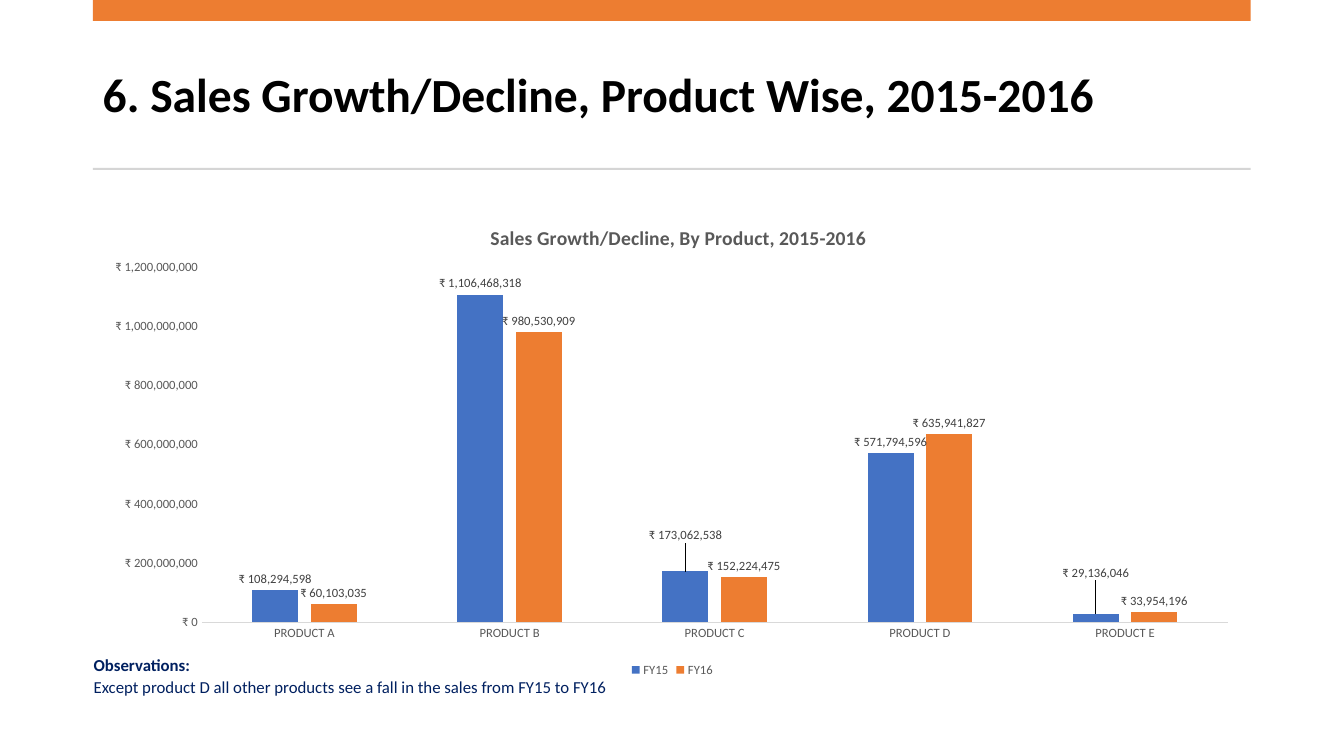
from lxml.etree import SubElement
from pptx import Presentation
from pptx.chart.data import CategoryChartData
from pptx.dml.color import RGBColor
from pptx.enum.chart import XL_CHART_TYPE as ChartType
from pptx.enum.chart import XL_LABEL_POSITION as LabelPos
from pptx.enum.chart import XL_LEGEND_POSITION as LegendPos
from pptx.enum.chart import XL_TICK_MARK as TickMark
from pptx.enum.shapes import MSO_SHAPE as Shape
from pptx.enum.text import MSO_ANCHOR as Anchor
from pptx.enum.text import PP_ALIGN as Align
from pptx.oxml.ns import qn
from pptx.util import Cm, Pt

FONT = "Calibri"
BLUE, ORANGE, NAVY, GREY = "4472C4", "ED7D31", "002060", "595959"
RUPEES = '"₹"\\ #,##0'
LEFT, WIDTH = 2.34, 29.18

PRODUCTS = [f"PRODUCT {letter}" for letter in "ABCDE"]
SALES = {
    "FY15": (BLUE, [108294598, 1106468318, 173062538, 571794596, 29136046]),
    "FY16": (ORANGE, [60103035, 980530909, 152224475, 635941827, 33954196]),
}
# Product index -> upward shift of its FY15 label, as a share of chart height
RAISED_LABELS = {2: -0.05, 4: -0.06}


def rgb(hex_colour):
    return RGBColor.from_string(hex_colour)


def set_font(font, size, colour, bold=False):
    font.name, font.size, font.bold = FONT, Pt(size), bold
    font.color.rgb = rgb(colour)


def add_band(slide, top, height, colour):
    band = slide.shapes.add_shape(Shape.RECTANGLE, Cm(LEFT), Cm(top), Cm(WIDTH), Cm(height))
    band.shadow.inherit = False
    band.fill.solid()
    band.fill.fore_color.rgb = rgb(colour)
    band.line.fill.background()


def add_text(slide, left, top, width, height, lines, size, colour, anchor=Anchor.TOP):
    """Add a text box; lines holds (text, bold) pairs. Return its paragraphs."""
    frame = slide.shapes.add_textbox(Cm(left), Cm(top), Cm(width), Cm(height)).text_frame
    frame.word_wrap = True
    frame.vertical_anchor = anchor
    frame.text = "\n".join(text for text, _ in lines)
    for paragraph, (_, bold) in zip(frame.paragraphs, lines):
        set_font(paragraph.font, size, colour, bold)
    return frame.paragraphs


def place(element, index, **settings):
    """Give a chart part a manual layout, inserted at the given child index."""
    for old in element.findall(qn("c:layout")):
        element.remove(old)
    layout = SubElement(element, qn("c:layout"))
    manual = SubElement(layout, qn("c:manualLayout"))
    for name, value in settings.items():
        SubElement(manual, qn(f"c:{name}")).set("val", str(value))
    element.insert(index, layout)


def raise_label(series, product, shift):
    label = series.points[product].data_label
    set_font(label.font, 9, "404040")
    label.position = LabelPos.OUTSIDE_END
    element = series._element.xpath(f"c:dLbls/c:dLbl[c:idx/@val='{product}']")[0]
    place(element, 1, x=0, y=shift)
    number_format = SubElement(element, qn("c:numFmt"))
    number_format.set("formatCode", RUPEES)
    number_format.set("sourceLinked", "0")
    element.insert(2, number_format)


def style_series(series, colour):
    series.format.fill.solid()
    series.format.fill.fore_color.rgb = rgb(colour)
    series.invert_if_negative = False
    labels = series.data_labels
    labels.show_value = True
    labels.position = LabelPos.OUTSIDE_END
    labels.number_format, labels.number_format_is_linked = RUPEES, False
    set_font(labels.font, 9, "404040")


def style_axes(chart):
    for axis in (chart.category_axis, chart.value_axis):
        axis.major_tick_mark = axis.minor_tick_mark = TickMark.NONE
        axis.has_major_gridlines = False
        set_font(axis.tick_labels.font, 9, GREY)
    baseline = chart.category_axis.format.line
    baseline.color.rgb = rgb("D9D9D9")
    baseline.width = Pt(0.75)
    sales_axis = chart.value_axis
    sales_axis.format.line.fill.background()
    sales_axis.minimum_scale, sales_axis.maximum_scale = 0, 1200000000
    sales_axis.major_unit = 200000000
    sales_axis.tick_labels.number_format = RUPEES
    sales_axis.tick_labels.number_format_is_linked = False


def add_sales_chart(slide):
    data = CategoryChartData(number_format=RUPEES)
    data.categories = PRODUCTS
    for year, (_, values) in SALES.items():
        data.add_series(year, values)
    chart = slide.shapes.add_chart(
        ChartType.COLUMN_CLUSTERED, Cm(LEFT), Cm(5.08), Cm(29.21), Cm(12.09), data
    ).chart
    set_font(chart.font, 10, "000000")

    chart.has_title = True
    heading = chart.chart_title.text_frame
    heading.text = "Sales Growth/Decline, By Product, 2015-2016"
    set_font(heading.paragraphs[0].font, 14, GREY, True)
    place(chart.chart_title._element, 1, xMode="edge", yMode="edge", x=0.34, y=0.04)

    chart.has_legend = True
    chart.legend.position = LegendPos.BOTTOM
    chart.legend.include_in_layout = False
    set_font(chart.legend.font, 9, GREY)

    columns = chart.plots[0]
    columns.gap_width, columns.overlap = 219, -27
    columns.vary_by_categories = False
    place(columns._element.getparent(), 0, layoutTarget="inner", xMode="edge", yMode="edge",
          x=0.094, y=0.137, w=0.885, h=0.74)
    style_axes(chart)
    for series, (colour, _) in zip(columns.series, SALES.values()):
        style_series(series, colour)
    for product, shift in RAISED_LABELS.items():
        raise_label(columns.series[0], product, shift)


def main():
    deck = Presentation()
    deck.slide_width, deck.slide_height = Cm(33.87), Cm(19.05)
    slide = deck.slides.add_slide(deck.slide_layouts[6])

    title = [("6. Sales Growth/Decline, Product Wise, 2015-2016", True)]
    heading, = add_text(slide, LEFT, 0.94, WIDTH, 3, title, 34, "000000", Anchor.MIDDLE)
    heading.line_spacing = 0.9
    add_band(slide, 0, 0.53, ORANGE)
    add_band(slide, 4.23, 0.05, "D5D5D5")

    observations = [
        ("Observations:", True),
        ("Except product D all other products see a fall in the sales from FY15 to FY16", False),
    ]
    label, finding = add_text(slide, 2.11, 16.38, 29.41, 1.3, observations, 12, NAVY)
    label.alignment = finding.alignment = Align.JUSTIFY
    finding.line_spacing = 1.1
    finding.space_after = Pt(6)
    add_sales_chart(slide)
    deck.save("out.pptx")


if __name__ == "__main__":
    main()
